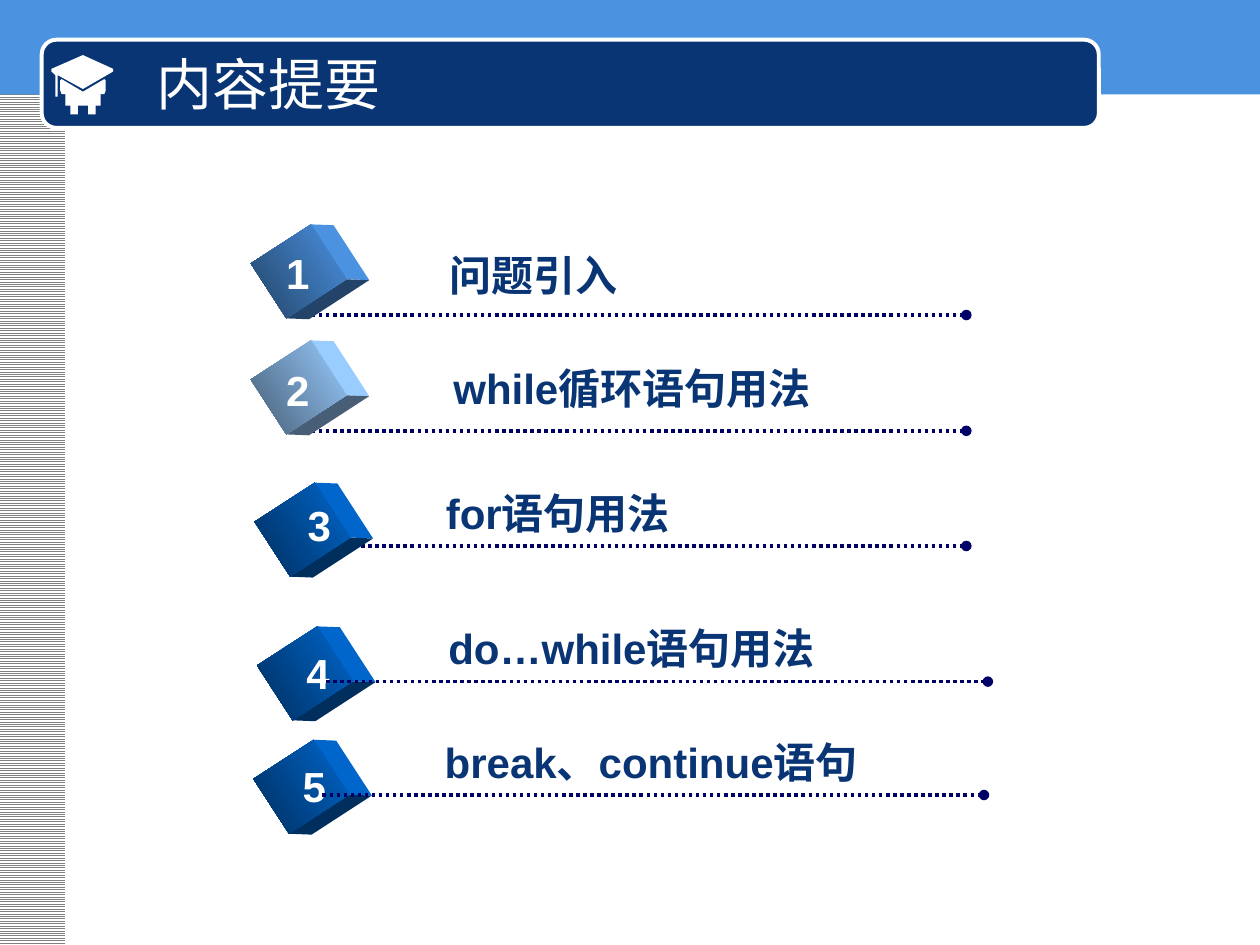
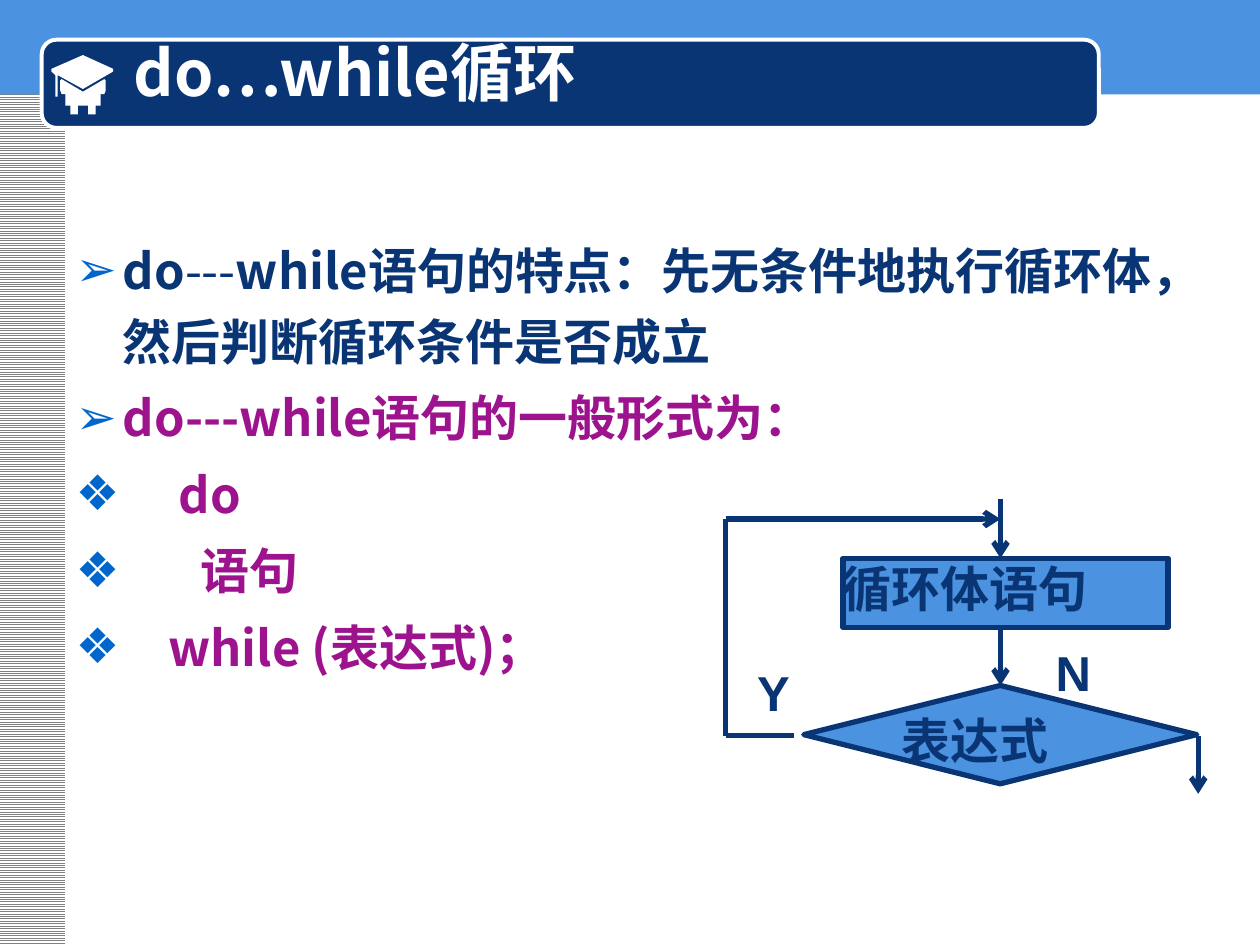
from collections import namedtuple
from math import cos, radians, sin

from lxml.etree import SubElement
from pptx import Presentation
from pptx.dml.color import RGBColor
from pptx.enum.dml import MSO_LINE, MSO_PATTERN
from pptx.enum.shapes import MSO_CONNECTOR, MSO_SHAPE
from pptx.enum.text import MSO_ANCHOR, MSO_AUTO_SIZE, PP_ALIGN
from pptx.oxml.ns import qn
from pptx.util import Pt

NAVY, SKY, WHITE, GRAY = "093575", "4B92E1", "FFFFFF", "808080"
BULLET, PURPLE, DOTS = "0066CC", "9D138D", "000066"
LATIN, CHINESE = "Arial", "Noto Sans CJK SC"


def color(value):
    return RGBColor.from_string(value)


def box(left, top, width, height):
    return Pt(left), Pt(top), Pt(width), Pt(height)


# ---- Text ----
def write_text(paragraph, text, size=24, fill=NAVY, bold=True, font=LATIN,
               align=PP_ALIGN.LEFT):
    paragraph.alignment = align
    run = paragraph.add_run()
    run.text = text
    run.font.size, run.font.bold, run.font.name = Pt(size), bold, font
    run.font.color.rgb = color(fill)
    SubElement(run.font._element, qn("a:ea")).set("typeface", CHINESE)


def add_label(slide, text, left, top, width, height, wrap=True, **text_format):
    frame = slide.shapes.add_textbox(*box(left, top, width, height)).text_frame
    frame.word_wrap = wrap
    write_text(frame.paragraphs[0], text, **text_format)


def set_title(slide, text, left, top, width, height, **text_format):
    title = slide.shapes.title
    title.left, title.top, title.width, title.height = box(left, top, width, height)
    frame = title.text_frame
    frame.auto_size = MSO_AUTO_SIZE.NONE
    frame.vertical_anchor = MSO_ANCHOR.MIDDLE
    write_text(frame.paragraphs[0], text, fill=WHITE, font=CHINESE, **text_format)


def set_bullet(paragraph, character, hanging):
    properties = paragraph._p.get_or_add_pPr()
    properties.set("marL", str(Pt(hanging)))
    properties.set("indent", str(-Pt(hanging)))
    bullet_color = SubElement(properties, qn("a:buClr"))
    SubElement(bullet_color, qn("a:srgbClr")).set("val", BULLET)
    SubElement(properties, qn("a:buChar")).set("char", character)


# ---- Shapes ----
def add_shape(slide, kind, left, top, width, height, fill=None, line=None,
              line_width=1):
    shape = slide.shapes.add_shape(kind, *box(left, top, width, height))
    return finish_shape(shape, fill, line, line_width)


def add_outline(slide, points, fill):
    start, *others = [(Pt(x), Pt(y)) for x, y in points]
    builder = slide.shapes.build_freeform(*start)
    builder.add_line_segments(others, close=True)
    return finish_shape(builder.convert_to_shape(), fill)


def finish_shape(shape, fill=None, line=None, line_width=1):
    shape.shadow.inherit = False
    if fill:
        shape.fill.solid()
        shape.fill.fore_color.rgb = color(fill)
    if line:
        shape.line.color.rgb = color(line)
        shape.line.width = Pt(line_width)
    else:
        shape.line.fill.background()
    return shape


def add_line(slide, start, end, fill=NAVY, width=3, dash=None, tail=None):
    connector = slide.shapes.add_connector(
        MSO_CONNECTOR.STRAIGHT, *[Pt(value) for value in (*start, *end)])
    line = connector.line
    line.color.rgb, line.width = color(fill), Pt(width)
    if dash:
        line.dash_style = dash
    if tail:
        SubElement(line._get_or_add_ln(), qn("a:tailEnd")).set("type", tail)
    SubElement(connector._element.spPr, qn("a:effectLst"))


# ---- Shared master: side strip, top band, title bar, graduation cap ----
def graduation_cap(slide, left, top):
    board = [(0, 9.4), (2.2, 11.5), (2.2, 23.8), (3.6, 23.8), (3.6, 11.5),
             (18, 19.4), (35.3, 9.4), (35.3, 7.9), (18, 0), (0, 7.9)]
    right_half = [(18, 20.9), (30.2, 13.7), (31, 14.4), (31, 20.2), (30.2, 22.3),
                  (28.1, 22.3), (28.1, 28.8), (25.2, 28.8), (25.2, 33.8),
                  (20.9, 33.8), (20.9, 28.8)]
    figure = right_half + [(36 - x, y) for x, y in reversed(right_half)]
    return [add_outline(slide, [(left + x, top + y) for x, y in points], WHITE)
            for points in (board, figure)]


def decorate_master(presentation, slide):
    strip = add_shape(slide, MSO_SHAPE.RECTANGLE, -0.7, 0, 38, 540)
    strip.fill.patterned()
    strip.fill.pattern = MSO_PATTERN.LIGHT_HORIZONTAL
    strip.fill.fore_color.rgb = color(GRAY)
    strip.fill.back_color.rgb = color(WHITE)
    band = add_shape(slide, MSO_SHAPE.RECTANGLE, 0, 0, 720.7, 54, SKY)
    bar = add_shape(slide, MSO_SHAPE.ROUNDED_RECTANGLE, 23.8, 22.7, 604.1, 50.4,
                    NAVY, WHITE, 2.25)
    for shape in [strip, band, bar, *graduation_cap(slide, 29.4, 31.5)]:
        presentation.slide_master.shapes.element.append(shape.element)


# ---- Agenda ----
# Offsets of number, label and line are measured from the cube's corner.
Row = namedtuple("Row", "text left top light dark number label line line_on_top")
AGENDA = [
    Row("问题引入", 151.9, 134.6, SKY, "234468",
        (4.3, 3.6), (97.9, 4.4), (22.3, 45.4), False),
    Row("while循环语句用法", 151.9, 200.9, "99CCFF", "475E76",
        (4.3, 3.6), (100.1, 2.9), (22.3, 45.3), False),
    Row("for语句用法", 154.1, 282.2, BULLET, "002F5E",
        (14.4, 0), (93.6, -7.2), (20.1, 29.8), False),
    Row("do…while语句用法", 155.5, 364.3, BULLET, "002F5E",
        (12.3, 2.2), (93.6, -12.2), (31, 25.2), True),
    Row("break、continue语句", 153.4, 429.1, BULLET, "002F5E",
        (12.2, 2.2), (93.6, -11.5), (30.9, 25.2), True),
]


def cube(slide, left, top, light, dark, width=37.4, height=41, turn=57):
    center_x, center_y = left + width / 2, top + height / 2
    cosine, sine = cos(radians(turn)), sin(radians(turn))

    def corner(side_x, side_y, depth=0):
        x, y = side_x * width / 2, side_y * height / 2
        return (center_x + x * cosine - y * sine + 13 * depth,
                center_y + x * sine + y * cosine + 0.5 * depth)

    # Side and bottom run from a front edge to the same edge moved back
    for first, second, fill in [((-1, -1), (1, -1), light), ((1, -1), (1, 1), dark)]:
        add_outline(slide, [corner(*first), corner(*second),
                            corner(*second, 1), corner(*first, 1)], fill)
    front = add_shape(slide, MSO_SHAPE.RECTANGLE, left, top, width, height)
    front.rotation = turn
    front.fill.gradient()
    front.fill.gradient_angle = 270
    for stop, value in zip(front.fill.gradient_stops, (light, dark)):
        stop.color.rgb = color(value)


def agenda_row(slide, number, row):
    def place(offset):
        return row.left + offset[0], row.top + offset[1]

    def dotted_line():
        x, y = place(row.line)
        add_line(slide, (x, y), (x + 378, y), DOTS, 2, MSO_LINE.ROUND_DOT, "oval")

    if not row.line_on_top:
        dotted_line()
    cube(slide, row.left, row.top, row.light, row.dark)
    add_label(slide, str(number), *place(row.number), 28, 36, wrap=False,
              fill=WHITE, align=PP_ALIGN.CENTER)
    if row.line_on_top:
        dotted_line()
    add_label(slide, row.text, *place(row.label), 320, 36)


def agenda_slide(slide):
    set_title(slide, "内容提要", 82.1, 25.2, 535.7, 44.6, size=32, bold=False)
    for number, row in enumerate(AGENDA, 1):
        agenda_row(slide, number, row)


# ---- Loop slide ----
# Each item: bullet, extra indent, line pitch, colour, runs of (text, bold)
LOOP_ITEMS = [
    ("➢", 0, 40.5, NAVY, [("do", True), ("---", False),
     ("while语句的特点：先无条件地执行循环体，然后判断循环条件是否成立", True)]),
    ("➢", 0, 43.7, PURPLE, [("do---while语句的一般形式为：", True)]),
    ("❖", 32, 43.7, PURPLE, [("do", True)]),
    ("❖", 44.5, 43.7, PURPLE, [("语句", True)]),
    ("❖", 26, 43.7, PURPLE, [("while (表达式)；", True)]),
]


def bullet_list(slide, left, top, width, height):
    body = slide.placeholders[1]
    body.left, body.top, body.width, body.height = box(left, top, width, height)
    frame = body.text_frame
    frame.auto_size = MSO_AUTO_SIZE.NONE
    frame.margin_top = Pt(45.5)
    for index, (bullet, extra, pitch, fill, runs) in enumerate(LOOP_ITEMS):
        paragraph = frame.add_paragraph() if index else frame.paragraphs[0]
        paragraph.line_spacing, paragraph.space_before = Pt(pitch), Pt(0)
        set_bullet(paragraph, bullet, 27 + extra)
        for text, bold in runs:
            write_text(paragraph, text, size=28, fill=fill, bold=bold, font=CHINESE)


def flow_box(slide, kind, text, left, top, width, height):
    shape = add_shape(slide, kind, left, top, width, height, SKY, NAVY, 3)
    frame = shape.text_frame
    frame.margin_left = frame.margin_right = 0
    frame.margin_top = frame.margin_bottom = 0
    frame.word_wrap = False
    frame.vertical_anchor = MSO_ANCHOR.TOP
    write_text(frame.paragraphs[0], text, size=28)


def loop_flowchart(slide, left, top):
    def at(x, y):
        return left + x, top + y

    axis, loop_y, test_y, exit_x = 157, 11.5, 135.4, 270
    flow_box(slide, MSO_SHAPE.FLOWCHART_DECISION, "表达式", *at(44.6, 106.6), 224.6, 56.2)
    add_label(slide, "Y", *at(10.8, 90), 39.6, 41, size=28)
    add_label(slide, "N", *at(181.4, 78.5), 39.6, 41, size=28)
    flow_box(slide, MSO_SHAPE.FLOWCHART_PROCESS, "循环体语句", *at(67, 33.9), 185.8, 39.6)
    # Entry, body to test, and exit
    for x, start_y, end_y in [(axis, 0, 33.9), (axis, 73.5, 106.6),
                              (exit_x, test_y, 168.5)]:
        add_line(slide, at(x, start_y), at(x, end_y), tail="arrow")
    # Way back to the top
    add_line(slide, at(38.9, test_y), at(0, test_y))
    add_line(slide, at(0, test_y), at(0, loop_y))
    add_line(slide, at(0, loop_y), at(axis, loop_y), tail="arrow")


def loop_slide(slide):
    set_title(slide, "do…while循环", 69.1, 18.7, 547.2, 44.6, size=36)
    bullet_list(slide, 36, 85, 648, 413.3)
    loop_flowchart(slide, 414.7, 285.1)


presentation = Presentation()
presentation.slide_width, presentation.slide_height = Pt(720), Pt(540)
title_only, title_and_body = (presentation.slide_layouts[index] for index in (5, 1))
agenda = presentation.slides.add_slide(title_only)
decorate_master(presentation, agenda)
agenda_slide(agenda)
loop_slide(presentation.slides.add_slide(title_and_body))
presentation.save("out.pptx")
